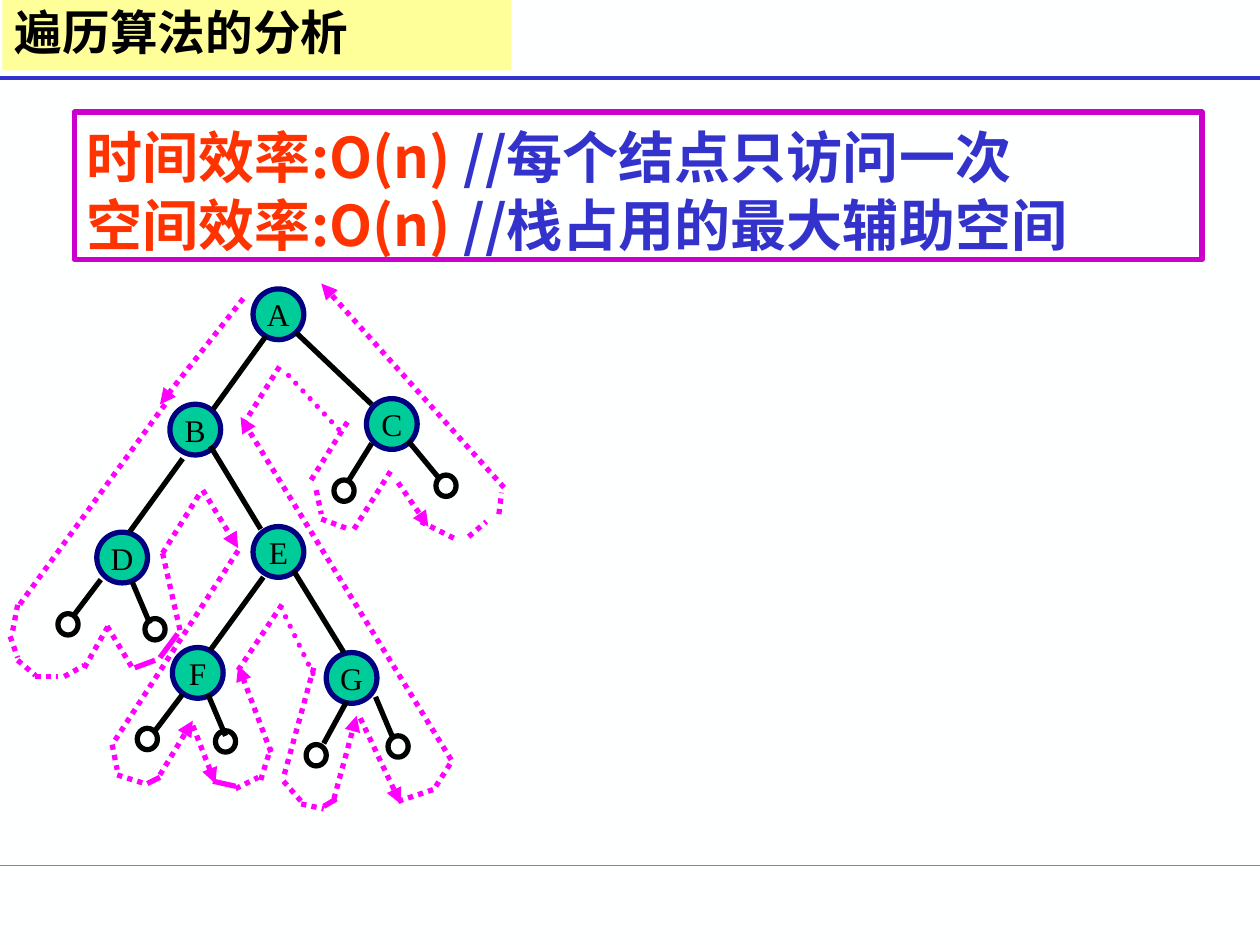
from lxml.etree import SubElement
from pptx import Presentation
from pptx.dml.color import RGBColor
from pptx.enum.dml import MSO_LINE
from pptx.enum.shapes import MSO_CONNECTOR, MSO_SHAPE
from pptx.enum.text import MSO_ANCHOR, PP_ALIGN
from pptx.oxml.ns import qn
from pptx.util import Pt

TITLE = "遍历算法的分析"
EFFICIENCY = [
    ("时间效率:O(n) ", "//每个结点只访问一次"),
    ("空间效率:O(n) ", "//栈占用的最大辅助空间"),
]
CJK_FONT = "Noto Sans CJK SC"
NODE_SIZE = 29
LEAF_WIDTH, LEAF_HEIGHT = 11.5, 12.2

NODES = {
    "A": (159.1, 179.6), "B": (111.6, 245.5), "C": (223.9, 242.3),
    "D": (69.8, 318.6), "E": (159.1, 315.4), "F": (113, 384.5),
    "G": (200.9, 387.4),
}
LEAVES = [
    (38.9, 356.8), (88.6, 359.6), (84.2, 422.3), (128.9, 423.7),
    (180.7, 431.6), (227.5, 426.6), (254.9, 277.6), (196.6, 280.4),
]
BRANCHES = [
    (151.9, 192.2, 121.7, 234), (169.2, 190.1, 212.4, 231.1),
    (104.4, 262.1, 74.2, 303.8), (120.2, 254.9, 149, 302.4),
    (150.5, 329.8, 120.2, 371.5), (167.8, 326.2, 196.6, 373),
    (212.4, 253.4, 199.4, 274.3), (233.3, 252, 250.6, 272.9),
    (57.6, 331.2, 41.8, 352.1), (75.6, 332.6, 85.7, 356.4),
    (104.4, 396.7, 88.6, 417.6), (118.8, 396.7, 128.9, 420.5),
    (198, 401, 185, 424.8), (214.6, 398.2, 224.6, 421.9),
]
SOLID_TRACE = [
    (84.2, 447.8, 91.4, 444.2), (121.7, 446.4, 134.6, 449.3),
    (185, 460.8, 192.2, 456.5), (77, 381.6, 88.6, 377.3),
    (91.4, 375.8, 101.5, 362.2),
]
DOTTED_TRACE = [
    (94.3, 231.1, 10.1, 347), (10.1, 345.6, 7.2, 360.7),
    (5.8, 363.6, 10.1, 375.8), (10.1, 377.3, 20.2, 385.9),
    (20.2, 386.6, 33.1, 386.6), (36.7, 386.6, 48.2, 380.2),
    (48.2, 381.6, 62.6, 356.4), (61.2, 357.8, 75.6, 381.6),
    (92.9, 316.1, 103, 360.7), (92.9, 316.1, 114.5, 281.5),
    (136.1, 314.6, 65.5, 423.4), (64.1, 425.5, 67, 439.9),
    (67, 442.8, 82.8, 447.8), (134.6, 450.7, 147.6, 444.2),
    (149, 445.7, 154.8, 427), (136.1, 383, 162, 344.2),
    (179.3, 381.6, 162, 444.2), (162, 446.4, 172.1, 457.9),
    (172.1, 459.4, 185, 462.2), (227.5, 457.9, 249.1, 450.7),
    (249.1, 449.3, 257.8, 435.6), (139, 242.6, 160.6, 208.1),
    (177.8, 274.3, 199.4, 239.8), (180.7, 280.1, 183.6, 293.8),
    (183.6, 296.6, 199.4, 302.4), (202.3, 302.4, 224.6, 267.1),
    (240.5, 298.1, 260.6, 308.2), (267.8, 306.7, 277.9, 298.1),
    (285.1, 293.8, 286.6, 281.5),
]
ARROW_TRACE = [
    (139, 170.6, 91.4, 231.1), (115.9, 280.1, 136.1, 313.2),
    (91.4, 442.8, 110.2, 411.8), (110.2, 414.7, 123.1, 447.8),
    (154.8, 429.8, 136.1, 380.2), (190.8, 456.5, 203.8, 409),
    (205.9, 410.4, 229, 459.4), (257.8, 434.2, 137.5, 238.3),
    (227.5, 275.8, 244.8, 301), (288, 278.6, 183.6, 162),
]
FINE_TRACE = [(160.6, 347, 179.3, 385.9), (164.9, 214.6, 195.1, 247)]


def color(value):
    return RGBColor.from_string(value)


def add_line(slide, ends, line_color, width=3, dotted=False, arrow=False, round_cap=False):
    connector = slide.shapes.add_connector(MSO_CONNECTOR.STRAIGHT, *map(Pt, ends))
    connector.line.color.rgb = color(line_color)
    connector.line.width = Pt(width)
    if dotted:
        connector.line.dash_style = MSO_LINE.ROUND_DOT
    line = connector.line._get_or_add_ln()
    if round_cap:
        line.set("cap", "rnd")
    if arrow:
        SubElement(line, qn("a:tailEnd"), type="triangle")
    SubElement(connector._element.spPr, qn("a:effectLst"))


def add_box(slide, kind, left, top, width, height, fill=None, line=None):
    shape = slide.shapes.add_shape(kind, *map(Pt, (left, top, width, height)))
    shape.shadow.inherit = False
    if fill:
        shape.fill.solid()
        shape.fill.fore_color.rgb = color(fill)
    else:
        shape.fill.background()
    if line:
        shape.line.color.rgb = color(line)
        shape.line.width = Pt(3)
    else:
        shape.line.fill.background()
    return shape


def add_oval(slide, center, width, height, fill, line):
    left, top = center[0] - width / 2, center[1] - height / 2
    return add_box(slide, MSO_SHAPE.OVAL, left, top, width, height, fill, line)


def format_run(run, size, font_color, font_name, bold=False):
    run.font.size = Pt(size)
    run.font.bold = bold
    run.font.color.rgb = color(font_color)
    run.font.name = font_name
    SubElement(run._r.get_or_add_rPr(), qn("a:ea"), typeface=font_name)


def add_tree(slide):
    for name, center in NODES.items():
        node = add_oval(slide, center, NODE_SIZE, NODE_SIZE, "00CC99", "000080")
        frame = node.text_frame
        frame.word_wrap = False
        frame.vertical_anchor = MSO_ANCHOR.MIDDLE
        frame.text = name
        frame.paragraphs[0].alignment = PP_ALIGN.CENTER
        format_run(frame.paragraphs[0].runs[0], 18, "000000", "Times New Roman")
    for ends in BRANCHES:
        add_line(slide, ends, "000000")
    for center in LEAVES:
        add_oval(slide, center, LEAF_WIDTH, LEAF_HEIGHT, None, "000000")


def add_trace(slide):
    styles = [
        (SOLID_TRACE, {}),
        (DOTTED_TRACE, {"dotted": True}),
        (ARROW_TRACE, {"dotted": True, "arrow": True}),
        (FINE_TRACE, {"dotted": True, "round_cap": True}),
    ]
    for segments, style in styles:
        for ends in segments:
            add_line(slide, ends, "FF00FF", **style)


def add_efficiency(slide):
    box = add_box(slide, MSO_SHAPE.RECTANGLE, 42.5, 64.1, 644.4, 84.2, line="CC00CC")
    frame = box.text_frame
    frame.word_wrap = True
    frame.vertical_anchor = MSO_ANCHOR.TOP
    frame.margin_top = Pt(6)
    frame.margin_bottom = Pt(0)
    for index, parts in enumerate(EFFICIENCY):
        paragraph = frame.add_paragraph() if index else frame.paragraphs[0]
        paragraph.alignment = PP_ALIGN.LEFT
        paragraph.line_spacing = Pt(38.5)
        for text, font_color in zip(parts, ("FF3300", "3333CC")):
            run = paragraph.add_run()
            run.text = text
            format_run(run, 32, font_color, CJK_FONT, True)


def add_title(slide):
    title = add_box(slide, MSO_SHAPE.RECTANGLE, 1.4, 0, 290.9, 40.3, fill="FFFF99")
    frame = title.text_frame
    frame.word_wrap = True
    frame.vertical_anchor = MSO_ANCHOR.MIDDLE
    frame.text = TITLE
    paragraph = frame.paragraphs[0]
    paragraph.alignment = PP_ALIGN.LEFT
    paragraph.line_spacing = 0.9
    format_run(paragraph.runs[0], 27.2, "000000", CJK_FONT, True)


def main():
    presentation = Presentation()
    presentation.slide_width, presentation.slide_height = Pt(720), Pt(540)
    slide = presentation.slides.add_slide(presentation.slide_layouts[6])
    slide.background.fill.solid()
    slide.background.fill.fore_color.rgb = color("FEFFFF")
    add_line(slide, (0, 494.6, 720, 494.6), "00CC99", 0.75)
    add_line(slide, (0, 44.6, 720, 44.6), "3333CC", 2.25)
    add_tree(slide)
    add_trace(slide)
    add_efficiency(slide)
    add_title(slide)
    presentation.save("out.pptx")


if __name__ == "__main__":
    main()
